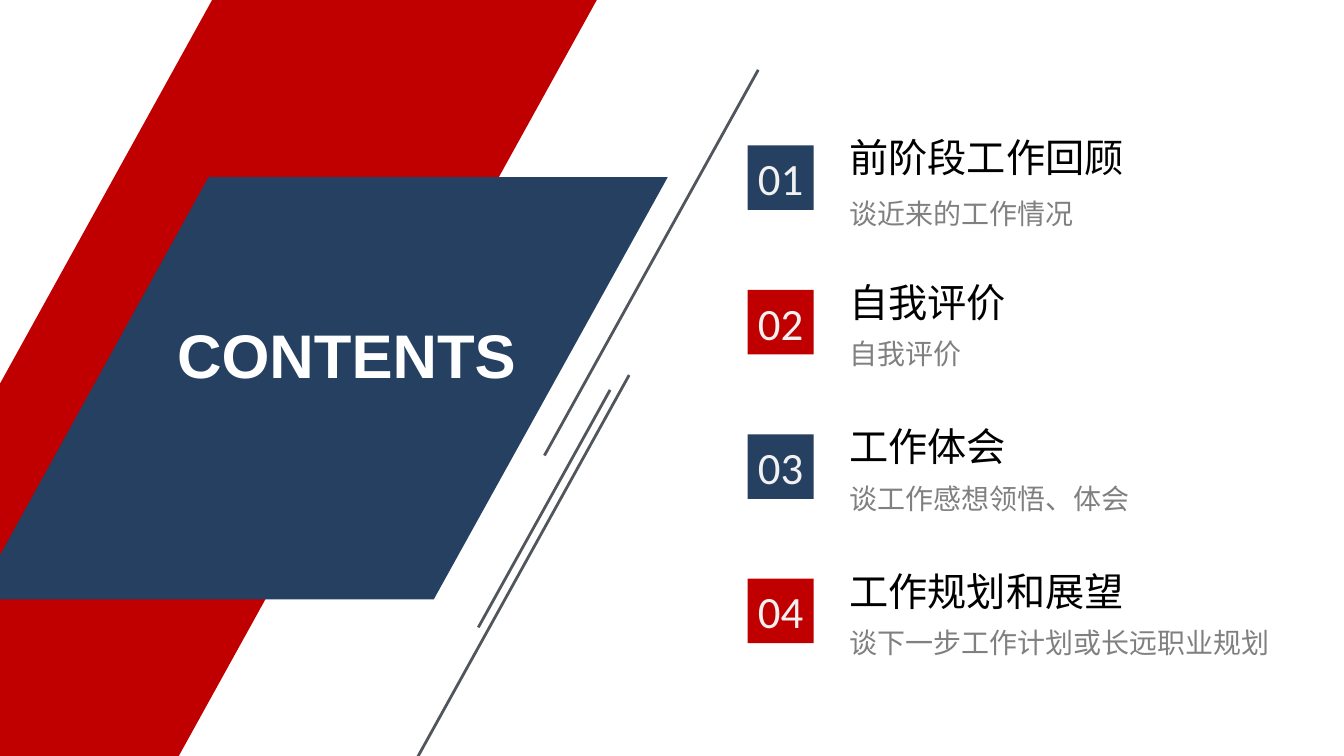
from lxml.etree import SubElement
from pptx import Presentation
from pptx.dml.color import RGBColor
from pptx.enum.shapes import MSO_CONNECTOR, MSO_SHAPE
from pptx.enum.text import MSO_ANCHOR, MSO_AUTO_SIZE, PP_ALIGN
from pptx.oxml.ns import qn
from pptx.util import Cm, Pt

RED = RGBColor(0xC0, 0x00, 0x00)
NAVY = RGBColor(0x25, 0x40, 0x61)
SLATE = RGBColor(0x50, 0x56, 0x5C)
GRAY = RGBColor(0x80, 0x80, 0x80)
LIGHT = RGBColor(0xF1, 0xF1, 0xF1)
BLACK = RGBColor(0x00, 0x00, 0x00)
WHITE = RGBColor(0xFF, 0xFF, 0xFF)

# Content: heading, heading width, detail, detail top, detail width (cm)
TITLE = "CONTENTS"
SECTIONS = [
    ("前阶段工作回顾", 5.74, "谈近来的工作情况", 3.4, 7.34),
    ("自我评价", 3.51, "自我评价", 6.05, 7.34),
    ("工作体会", 3.51, "谈工作感想领悟、体会", 8.79, 7.34),
    ("工作规划和展望", 5.74, "谈下一步工作计划或长远职业规划", 11.51, 8.61),
]

# Decoration: corner points and line ends (cm)
BANDS = [
    (RED, [(4.01, 0), (11.28, 0), (3.38, 14.29), (-3.89, 14.29)]),
    (NAVY, [(3.94, 3.35), (12.62, 3.35), (8.2, 11.33), (-0.46, 11.33)]),
]
SLANTED_LINES = [
    (14.33, 1.32, 10.29, 8.61),
    (11.53, 7.37, 9.04, 11.86),
    (11.89, 7.09, 7.87, 14.35),
]

# Section grid (cm)
NUMBER_LEFT, NUMBER_TOP, NUMBER_WIDTH, NUMBER_HEIGHT = 14.13, 2.75, 1.25, 1.22
TEXT_LEFT, HEADING_TOP, HEADING_HEIGHT, DETAIL_HEIGHT = 15.8, 2.4, 1.14, 1.09
SECTION_PITCH = 2.73

# Text formats
TIGHT = {"margin_left": Cm(0.18), "margin_right": Cm(0.18),
         "margin_top": Cm(0.1), "margin_bottom": Cm(0.1), "word_wrap": False}
CENTERED = {"alignment": PP_ALIGN.CENTER}
TITLE_FORMAT = {
    "frame": {**TIGHT, "vertical_anchor": MSO_ANCHOR.TOP},
    "paragraph": CENTERED,
    "font": {"name": "Arial", "size": Pt(33), "bold": True}, "color": WHITE}
NUMBER_FORMAT = {
    "frame": {**TIGHT, "vertical_anchor": MSO_ANCHOR.MIDDLE},
    "paragraph": CENTERED,
    "font": {"name": "Calibri", "size": Pt(24)}, "color": LIGHT}
HEADING_FORMAT = {
    "frame": {"word_wrap": False}, "paragraph": {},
    "font": {"name": "Noto Sans CJK SC", "size": Pt(21)}, "color": BLACK}
DETAIL_FORMAT = {
    "frame": {"word_wrap": True}, "paragraph": {"line_spacing": 1.3},
    "font": {"name": "Noto Sans CJK SC", "size": Pt(15)}, "color": GRAY}


def set_attributes(target, values):
    for name, value in values.items():
        setattr(target, name, value)


def write_text(shape, text, text_format):
    frame = shape.text_frame
    set_attributes(frame, text_format["frame"])
    frame.auto_size = MSO_AUTO_SIZE.SHAPE_TO_FIT_TEXT
    paragraph = frame.paragraphs[0]
    set_attributes(paragraph, text_format["paragraph"])
    run = paragraph.add_run()
    run.text = text
    set_attributes(run.font, text_format["font"])
    run.font.color.rgb = text_format["color"]
    # Chinese characters take the East Asian font
    SubElement(run.font._element, qn("a:ea"), typeface=text_format["font"]["name"])


def fill_plain(shape, color):
    shape.shadow.inherit = False
    shape.fill.solid()
    shape.fill.fore_color.rgb = color
    shape.line.fill.background()


def add_text(shapes, box, text, text_format):
    textbox = shapes.add_textbox(*map(Cm, box))
    write_text(textbox, text, text_format)


presentation = Presentation()
presentation.slide_width, presentation.slide_height = Cm(25.4), Cm(14.29)
slide = presentation.slides.add_slide(presentation.slide_layouts[5])

# Slanted bands
for color, corners in BANDS:
    points = [(Cm(x), Cm(y)) for x, y in corners]
    builder = slide.shapes.build_freeform(*points[0])
    builder.add_line_segments(points[1:], close=True)
    fill_plain(builder.convert_to_shape(), color)

# Slanted lines
for ends in SLANTED_LINES:
    connector = slide.shapes.add_connector(MSO_CONNECTOR.STRAIGHT, *map(Cm, ends))
    connector.line.color.rgb = SLATE
    connector.line.width = Pt(1.5)
    SubElement(connector._element.spPr, qn("a:effectLst"))

# Title, brought in front of the bands
title = slide.shapes.title
set_attributes(title, {"left": Cm(3.12), "top": Cm(5.89),
                       "width": Cm(6.86), "height": Cm(1.6)})
write_text(title, TITLE, TITLE_FORMAT)
title.element.getparent().append(title.element)

# Numbered sections
for index, (heading, heading_width, detail, detail_top, detail_width) in enumerate(SECTIONS):
    offset = index * SECTION_PITCH
    shapes = slide.shapes.add_group_shape().shapes
    number = shapes.add_shape(
        MSO_SHAPE.RECTANGLE, Cm(NUMBER_LEFT), Cm(NUMBER_TOP + offset),
        Cm(NUMBER_WIDTH), Cm(NUMBER_HEIGHT))
    fill_plain(number, (NAVY, RED)[index % 2])
    write_text(number, f"{index + 1:02d}", NUMBER_FORMAT)
    add_text(shapes, (TEXT_LEFT, HEADING_TOP + offset, heading_width, HEADING_HEIGHT),
             heading, HEADING_FORMAT)
    add_text(shapes, (TEXT_LEFT, detail_top, detail_width, DETAIL_HEIGHT),
             detail, DETAIL_FORMAT)

presentation.save("out.pptx")
